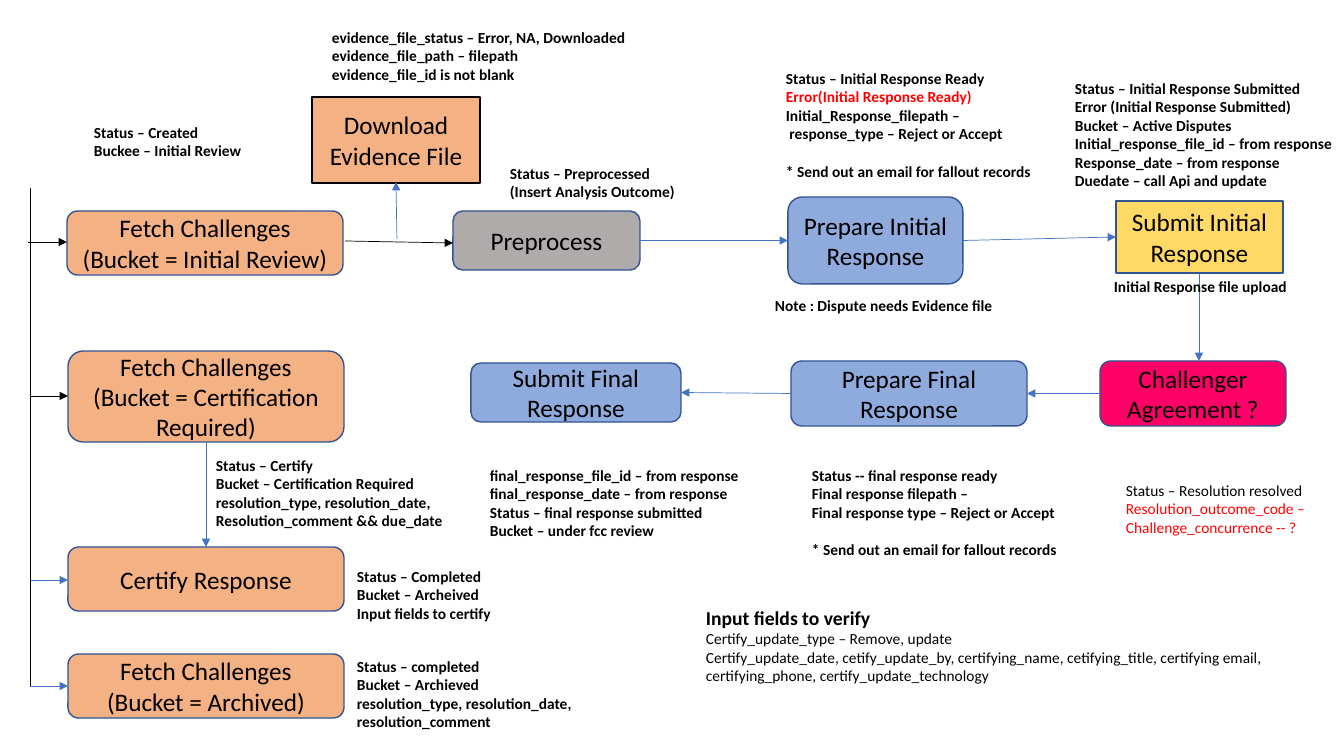
from lxml import etree
from pptx import Presentation
from pptx.dml.color import RGBColor
from pptx.enum.shapes import MSO_CONNECTOR, MSO_SHAPE
from pptx.enum.text import MSO_ANCHOR, MSO_AUTO_SIZE, PP_ALIGN
from pptx.oxml.ns import qn
from pptx.util import Pt

SCALE = 914400 / 100.8
FONT = "Calibri"
BLACK, BLUE, OUTLINE, RED = "000000", "4472C4", "325491", "FF0000"
ORANGE, PERIWINKLE, GRAY, YELLOW, PINK = "F4B183", "8FAADC", "AFABAB", "FFD966", "FF0066"
TOP, LEFT, BOTTOM, RIGHT = range(4)
NOTE_SIZE, LINE_PIXELS, LINE_POINTS = 11, 18.6, 13.4

# key: text, left, top, width, height, fill, outline, shape
STEPS = {
    "download": ("Download Evidence File", 312, 97, 168, 86, ORANGE, BLACK, MSO_SHAPE.RECTANGLE),
    "submit initial": ("Submit Initial Response", 1116, 201, 167, 72, YELLOW, OUTLINE,
                       MSO_SHAPE.RECTANGLE),
    "certification": ("Fetch Challenges\n(Bucket = Certification Required)", 68, 351, 276, 91, ORANGE),
    "initial review": ("Fetch Challenges\n(Bucket = Initial Review)", 67, 211, 276, 64, ORANGE),
    "preprocess": ("Preprocess", 453, 211, 187, 59, GRAY),
    "prepare initial": ("Prepare Initial Response", 788, 197, 175, 87, PERIWINKLE),
    "prepare final": ("Prepare Final Response", 791, 361, 236, 65, PERIWINKLE),
    "certify": ("Certify Response", 68, 547, 276, 64, ORANGE),
    "archived": ("Fetch Challenges\n(Bucket = Archived)", 68, 654, 276, 64, ORANGE),
    "submit final": ("Submit Final Response", 471, 363, 210, 59, PERIWINKLE),
    "agreement": ("Challenger Agreement ?", 1100, 361, 186, 65, PINK),
}

# from step, its side, to step, its side
LINKS = [
    ("certification", BOTTOM, "certify", TOP),
    ("preprocess", RIGHT, "prepare initial", LEFT),
    ("prepare initial", RIGHT, "submit initial", LEFT),
    ("agreement", LEFT, "prepare final", RIGHT),
    ("prepare final", LEFT, "submit final", RIGHT),
]

# start x, start y, end x, end y, colour
ARROWS = [
    (345, 241, 453, 243, BLACK),
    (28, 242, 67, 242, BLACK),
    (31, 396, 68, 396, BLACK),
    (31, 580, 68, 580, BLUE),
    (30, 686, 68, 686, BLUE),
    (1199, 273, 1199, 361, BLUE),
    (397, 239, 396, 182, BLUE),
]

# left, top, width, text
NOTES = [
    (84, 118, 176, "Status – Created\nBuckee – Initial Review"),
    (322, 23, 318, "evidence_file_status – Error, NA, Downloaded\n"
                   "evidence_file_path – filepath\nevidence_file_id is not blank"),
    (500, 159, 197, "Status – Preprocessed\n(Insert Analysis Outcome)"),
    (206, 451, 325, "Status – Certify\nBucket – Certification Required\n"
                    "resolution_type, resolution_date,\nResolution_comment && due_date"),
    (347, 562, 195, "Status – Completed\nBucket – Archeived\nInput fields to certify"),
    (347, 652, 276, "Status – completed\nBucket – Archieved\n"
                    "resolution_type, resolution_date,\nresolution_comment"),
    (1065, 74, 278, "Status – Initial Response Submitted\nError (Initial Response Submitted)\n"
                    "Bucket – Active Disputes\nInitial_response_file_id – from response\n"
                    "Response_date – from response\nDuedate – call Api and update"),
    (765, 291, 289, "Note : Dispute needs Evidence file"),
    (1104, 272, 221, "Initial Response file upload"),
    (480, 461, 286, "final_response_file_id – from response\n"
                    "final_response_date – from response\n"
                    "Status – final response submitted\nBucket – under fcc review"),
]
FALLOUT = "* Send out an email for fallout records"
READY_NOTE = ("Status – Initial Response Ready\nError(Initial Response Ready)\n"
              "Initial_Response_filepath –\n response_type – Reject or Accept\n" + FALLOUT)
FINAL_NOTE = ("Status -- final response ready\nFinal response filepath –\n"
              "Final response type – Reject or Accept\n" + FALLOUT)
RESOLVED_NOTE = ("Status – Resolution resolved\nResolution_outcome_code –\n"
                 "Challenge_concurrence -- ?")
VERIFY_NOTE = ("Input fields to verify\nCertify_update_type – Remove, update\n"
               "Certify_update_date, cetify_update_by, certifying_name, cetifying_title, "
               "certifying email, certifying_phone, certify_update_technology")


def px(*lengths):
    """Turn pixel lengths into EMU."""
    return [round(length * SCALE) for length in lengths]


def color(value):
    """Turn a hex string into a colour."""
    return RGBColor.from_string(value)


def style(paragraph, size, bold=False, ink=BLACK):
    """Set the font of a whole paragraph."""
    font = paragraph.font
    font.name, font.size, font.bold = FONT, Pt(size), bold
    font.color.rgb = color(ink)


def add_step(page, text, left, top, width, height, fill, outline=OUTLINE,
             kind=MSO_SHAPE.ROUNDED_RECTANGLE):
    """Add one process box with centred text."""
    box = page.shapes.add_shape(kind, *px(left, top, width, height))
    box.shadow.inherit = False
    box.fill.solid()
    box.fill.fore_color.rgb = color(fill)
    box.line.color.rgb = color(outline)
    box.line.width = Pt(1)
    box.text_frame.text = text
    box.text_frame.vertical_anchor = MSO_ANCHOR.MIDDLE
    for paragraph in box.text_frame.paragraphs:
        paragraph.alignment = PP_ALIGN.CENTER
        style(paragraph, 18)
    return box


def add_line(page, x1, y1, x2, y2, ink, arrow=True):
    """Add a thin straight line, with an arrowhead unless told otherwise."""
    line = page.shapes.add_connector(MSO_CONNECTOR.STRAIGHT, *px(x1, y1, x2, y2))
    line.line.color.rgb = color(ink)
    line.line.width = Pt(0.5)
    if arrow:
        etree.SubElement(line.line._get_or_add_ln(), qn("a:tailEnd"), type="triangle")
    etree.SubElement(line._element.spPr, qn("a:effectLst"))
    return line


def add_link(page, start, start_side, end, end_side):
    """Add an arrow glued to two process boxes."""
    link = add_line(page, 0, 0, 0, 0, BLUE)
    link.begin_connect(start, start_side)
    link.end_connect(end, end_side)


def add_note(page, left, top, width, text, bold=True, red=(), gap_before=None):
    """Add a note; red lists red lines, gap_before is the line set one line lower."""
    lines = text.split("\n")
    rows = len(lines) + (gap_before is not None)
    box = page.shapes.add_textbox(*px(left, top, width, rows * LINE_PIXELS + 10))
    frame = box.text_frame
    frame.word_wrap = True
    frame.auto_size = MSO_AUTO_SIZE.SHAPE_TO_FIT_TEXT
    frame.margin_right = 0
    frame.text = text
    for index, paragraph in enumerate(frame.paragraphs):
        style(paragraph, NOTE_SIZE, bold, RED if index in red else BLACK)
        if index == gap_before:
            paragraph.space_before = Pt(LINE_POINTS)
    return box


def main():
    """Build the challenge workflow slide."""
    deck = Presentation()
    deck.slide_width, deck.slide_height = px(1344, 756)
    page = deck.slides.add_slide(deck.slide_layouts[6])

    steps = {key: add_step(page, *step) for key, step in STEPS.items()}
    add_line(page, 30, 188, 30, 686, BLACK, arrow=False)
    for arrow in ARROWS:
        add_line(page, *arrow)
    for start, start_side, end, end_side in LINKS:
        add_link(page, steps[start], start_side, steps[end], end_side)

    for note in NOTES:
        add_note(page, *note)
    add_note(page, 776, 64, 281, READY_NOTE, red=(1,), gap_before=4)
    add_note(page, 802, 461, 276, FINAL_NOTE, gap_before=3)
    add_note(page, 1116, 476, 209, RESOLVED_NOTE, bold=False, red=(1, 2))
    verify = add_note(page, 696, 601, 606, VERIFY_NOTE, bold=False)
    style(verify.text_frame.paragraphs[0], 14, bold=True)

    deck.save("out.pptx")


main()
